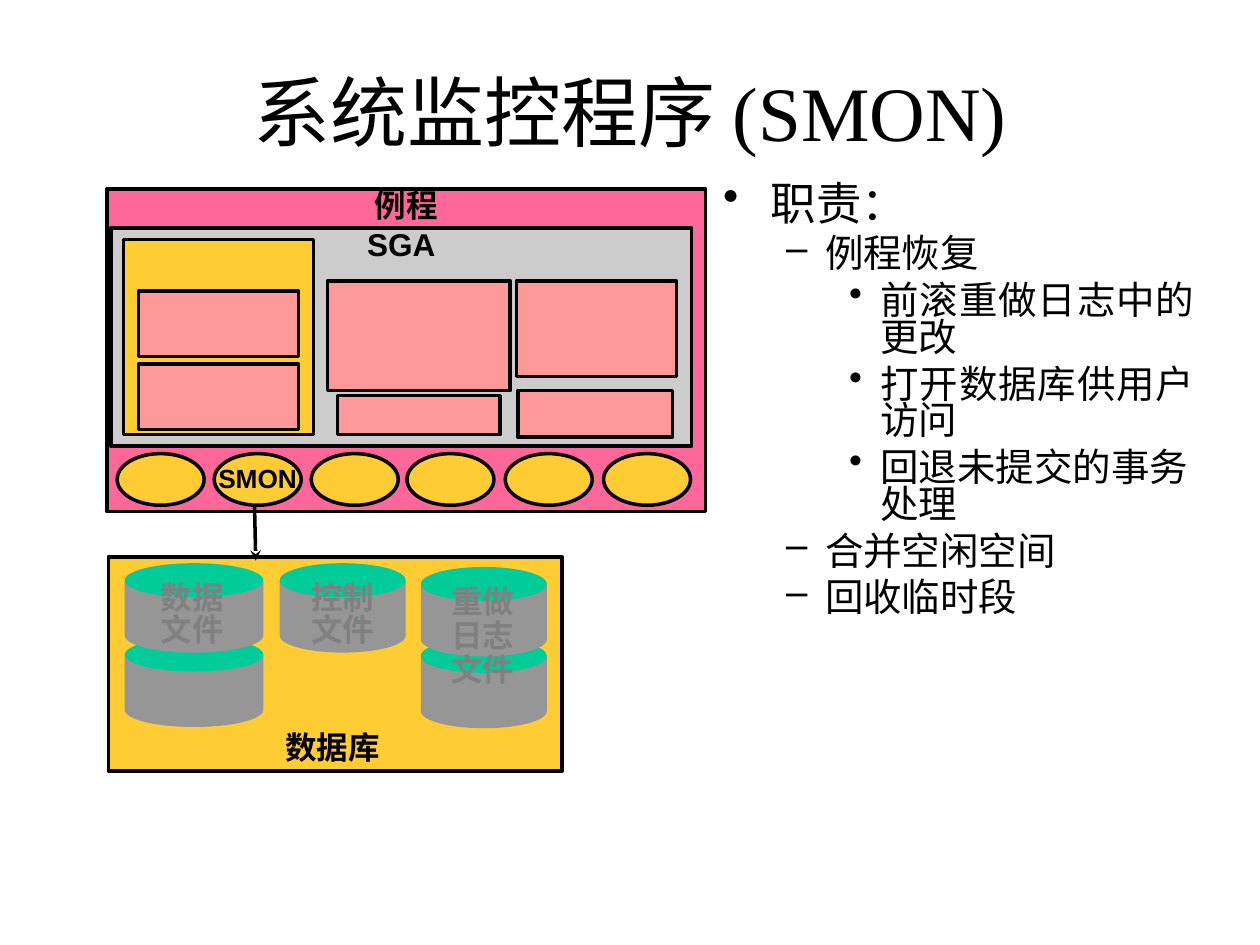
from dataclasses import dataclass
from typing import Optional

from pptx import Presentation
from pptx.dml.color import RGBColor
from pptx.enum.shapes import MSO_CONNECTOR, MSO_SHAPE
from pptx.enum.text import MSO_ANCHOR, MSO_AUTO_SIZE, PP_ALIGN
from pptx.oxml.xmlchemy import OxmlElement
from pptx.util import Inches, Pt

RECTANGLE, OVAL = MSO_SHAPE.RECTANGLE, MSO_SHAPE.OVAL
STRAIGHT = MSO_CONNECTOR.STRAIGHT
TOP, MIDDLE = MSO_ANCHOR.TOP, MSO_ANCHOR.MIDDLE
LEFT, CENTER, JUSTIFY = PP_ALIGN.LEFT, PP_ALIGN.CENTER, PP_ALIGN.JUSTIFY
NO_AUTOFIT = MSO_AUTO_SIZE.NONE


@dataclass(frozen=True)
class Theme:
    black: str = "000000"
    gold: str = "FFCC33"
    pink: str = "FF6699"
    salmon: str = "FF9999"
    silver: str = "CCCCCC"
    gray: str = "969696"
    teal: str = "00CC99"
    label: str = "808080"
    serif: str = "Times New Roman"
    sans: str = "Arial"
    chinese: str = "Noto Sans CJK SC"
    title_size: int = 44
    duty_size: int = 26
    detail_size: int = 22
    label_size: int = 18
    process_size: int = 15
    outline: int = 2


THEME = Theme()


@dataclass(frozen=True)
class Area:
    left: float
    top: float
    width: float
    height: float

    def lengths(self) -> tuple:
        return tuple(Inches(v) for v in (self.left, self.top, self.width, self.height))


@dataclass(frozen=True)
class Cylinder:
    left: float
    top: float
    width: float


@dataclass(frozen=True)
class Bullet:
    text: str
    level: int
    align: PP_ALIGN = LEFT


@dataclass(frozen=True)
class Level:
    mark: str
    margin: float
    hanging: float
    size: int
    before: float


LEVELS = (
    Level("•", 0.38, 0.38, THEME.duty_size, 6.5),
    Level("–", 0.81, 0.31, THEME.detail_size, 5.5),
    Level("•", 1.25, 0.25, THEME.detail_size, 5.5),
)
DUTIES = (
    Bullet("职责：", 0),
    Bullet("例程恢复", 1),
    Bullet("前滚重做日志中的更改", 2, JUSTIFY),
    Bullet("打开数据库供用户访问", 2, JUSTIFY),
    Bullet("回退未提交的事务处理", 2),
    Bullet("合并空闲空间", 1, JUSTIFY),
    Bullet("回收临时段", 1),
)
FILES = (
    Cylinder(2.22, 4.47, 1),
    Cylinder(0.99, 5.06, 1.1),
    Cylinder(0.99, 4.47, 1.1),
    Cylinder(3.34, 5.07, 1),
    Cylinder(3.34, 4.5, 1),
)
MEMORY_AREAS = (
    Area(4.1, 2.23, 1.27, 0.76),
    Area(1.1, 2.89, 1.27, 0.52),
    Area(1.1, 2.31, 1.27, 0.52),
    Area(2.6, 2.23, 1.45, 0.87),
    Area(2.68, 3.14, 1.29, 0.31),
    Area(4.11, 3.1, 1.23, 0.37),
)
PROCESSES = ((0.93, ""), (1.7, "SMON"), (2.47, ""), (3.23, ""), (4.01, ""), (4.79, ""))


def write(para, text: str, *, size: int, font: str = THEME.chinese, color: str = THEME.black,
          bold: bool = False, align: PP_ALIGN = CENTER, line_spacing=None,
          before: Optional[float] = None) -> None:
    para.text = text
    para.alignment = align
    para.line_spacing = line_spacing
    if before is not None:
        para.space_before = Pt(before)
    for span in para.runs:
        span.font.size = Pt(size)
        span.font.bold = bold
        span.font.name = font
        span.font.color.rgb = RGBColor.from_string(color)
        east_asian = OxmlElement("a:ea")
        east_asian.set("typeface", THEME.chinese)
        span.font._element.append(east_asian)


def set_frame(frame, *, side: float = 0.1, edge: float = 0.05, anchor: MSO_ANCHOR = TOP,
              wrap: bool = True) -> None:
    frame.auto_size = NO_AUTOFIT
    frame.margin_left = frame.margin_right = Inches(side)
    frame.margin_top = frame.margin_bottom = Inches(edge)
    frame.vertical_anchor = anchor
    frame.word_wrap = wrap


def draw_shape(shapes, kind: MSO_SHAPE, area: Area, fill: str, outlined: bool = True):
    shape = shapes.add_shape(kind, *area.lengths())
    shape.shadow.inherit = False
    shape.fill.solid()
    shape.fill.fore_color.rgb = RGBColor.from_string(fill)
    if outlined:
        shape.line.color.rgb = RGBColor.from_string(THEME.black)
        shape.line.width = Pt(THEME.outline)
    else:
        shape.line.fill.background()
    return shape


def label_shape(shape, text: str, *, size: int = THEME.label_size, font: str = THEME.sans,
                anchor: MSO_ANCHOR = TOP) -> None:
    set_frame(shape.text_frame, side=0.05, edge=0, anchor=anchor, wrap=False)
    write(shape.text_frame.paragraphs[0], text, size=size, font=font, bold=True, line_spacing=0.95)


def draw_cylinder(page, cylinder: Cylinder) -> None:
    group = page.shapes.add_group_shape()
    for kind, drop, height, fill in (
        (RECTANGLE, 0.14, 0.43, THEME.gray),
        (OVAL, 0, 0.27, THEME.teal),
        (OVAL, 0.44, 0.27, THEME.gray),
    ):
        area = Area(cylinder.left, cylinder.top + drop, cylinder.width, height)
        draw_shape(group.shapes, kind, area, fill, outlined=False)


def draw_label(page, area: Area, text: str, *, side: float = 0.11, edge: float = 0.06,
               wrap: bool = True, color: str = THEME.label, line_spacing=None,
               before: Optional[float] = 11.2) -> None:
    box = page.shapes.add_textbox(*area.lengths())
    set_frame(box.text_frame, side=side, edge=edge, wrap=wrap)
    write(box.text_frame.paragraphs[0], text, size=THEME.label_size, color=color, bold=True,
          line_spacing=line_spacing, before=before)


def draw_title(page) -> None:
    title = page.shapes.title
    title.left, title.top, title.width, title.height = Area(0.75, 0.25, 8.5, 1.25).lengths()
    set_frame(title.text_frame, anchor=MIDDLE)
    write(title.text_frame.paragraphs[0], "系统监控程序 (SMON)", size=THEME.title_size,
          font=THEME.serif)


def draw_duties(page) -> None:
    frame = page.shapes.add_textbox(*Area(5.64, 1.42, 3.94, 3.87).lengths()).text_frame
    set_frame(frame)
    for index, duty in enumerate(DUTIES):
        para = frame.add_paragraph() if index else frame.paragraphs[0]
        level = LEVELS[duty.level]
        para.level = duty.level
        write(para, duty.text, size=level.size, align=duty.align, line_spacing=0.8,
              before=level.before)
        properties = para._p.get_or_add_pPr()
        properties.set("marL", str(Inches(level.margin)))
        properties.set("indent", str(-Inches(level.hanging)))
        mark = OxmlElement("a:buChar")
        mark.set("char", level.mark)
        properties.append(mark)


def draw_database(page) -> None:
    draw_shape(page.shapes, RECTANGLE, Area(0.86, 4.42, 3.6, 1.7), THEME.gold)
    for cylinder in FILES:
        draw_cylinder(page, cylinder)
    draw_label(page, Area(2.08, 4.58, 1.28, 0.62), "控制\n文件", line_spacing=Pt(18))
    draw_label(page, Area(0.86, 4.58, 1.33, 0.62), "数据\n文件", line_spacing=Pt(18))
    draw_label(page, Area(3.09, 4.59, 1.48, 0.93), "重做\n日志\n文件", line_spacing=0.9)
    draw_label(page, Area(2.14, 5.73, 1, 0.4), "数据库", side=0.1, edge=0.05, wrap=False,
               color=THEME.black, before=None)


def draw_instance(page) -> None:
    instance = draw_shape(page.shapes, RECTANGLE, Area(0.85, 1.5, 4.75, 2.56), THEME.pink)
    label_shape(instance, "例程", font=THEME.chinese)
    global_area = draw_shape(page.shapes, RECTANGLE, Area(0.88, 1.81, 4.61, 1.73), THEME.silver)
    label_shape(global_area, "SGA")
    draw_shape(page.shapes, RECTANGLE, Area(0.98, 1.9, 1.51, 1.55), THEME.gold)
    for area in MEMORY_AREAS:
        draw_shape(page.shapes, RECTANGLE, area, THEME.salmon)
    for left, name in PROCESSES:
        process = draw_shape(page.shapes, OVAL, Area(left, 3.6, 0.69, 0.41), THEME.gold)
        if name:
            label_shape(process, name, size=THEME.process_size, anchor=MIDDLE)


def draw_arrow(page) -> None:
    arrow = page.shapes.add_connector(STRAIGHT, Inches(2.02), Inches(4), Inches(2.03), Inches(4.45))
    arrow.line.color.rgb = RGBColor.from_string(THEME.black)
    arrow.line.width = Pt(THEME.outline)
    tip = OxmlElement("a:tailEnd")
    tip.set("type", "stealth")
    arrow.line._get_or_add_ln().append(tip)
    arrow._element.spPr.append(OxmlElement("a:effectLst"))


def main() -> None:
    deck = Presentation()
    deck.slide_width, deck.slide_height = Inches(10), Inches(7.5)
    page = deck.slides.add_slide(deck.slide_layouts[5])
    draw_title(page)
    draw_duties(page)
    draw_database(page)
    draw_instance(page)
    draw_arrow(page)
    deck.save("out.pptx")


if __name__ == "__main__":
    main()
